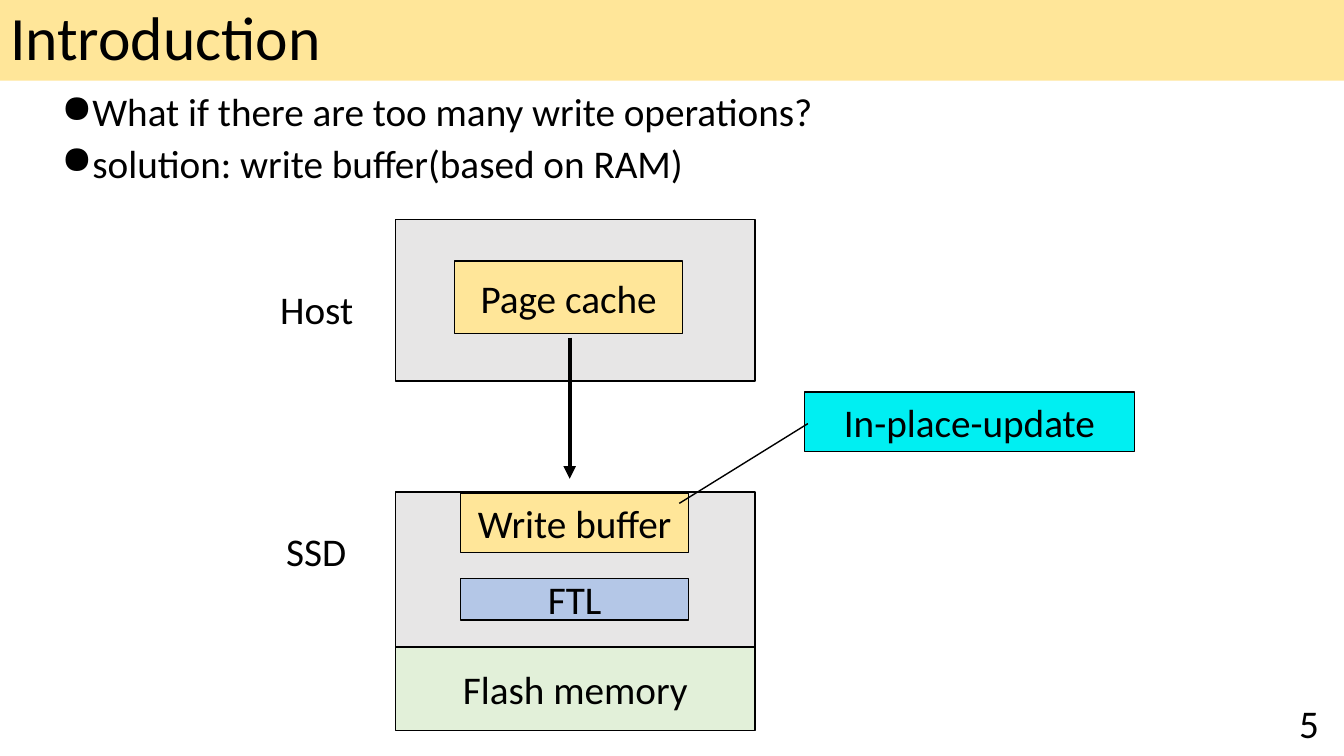
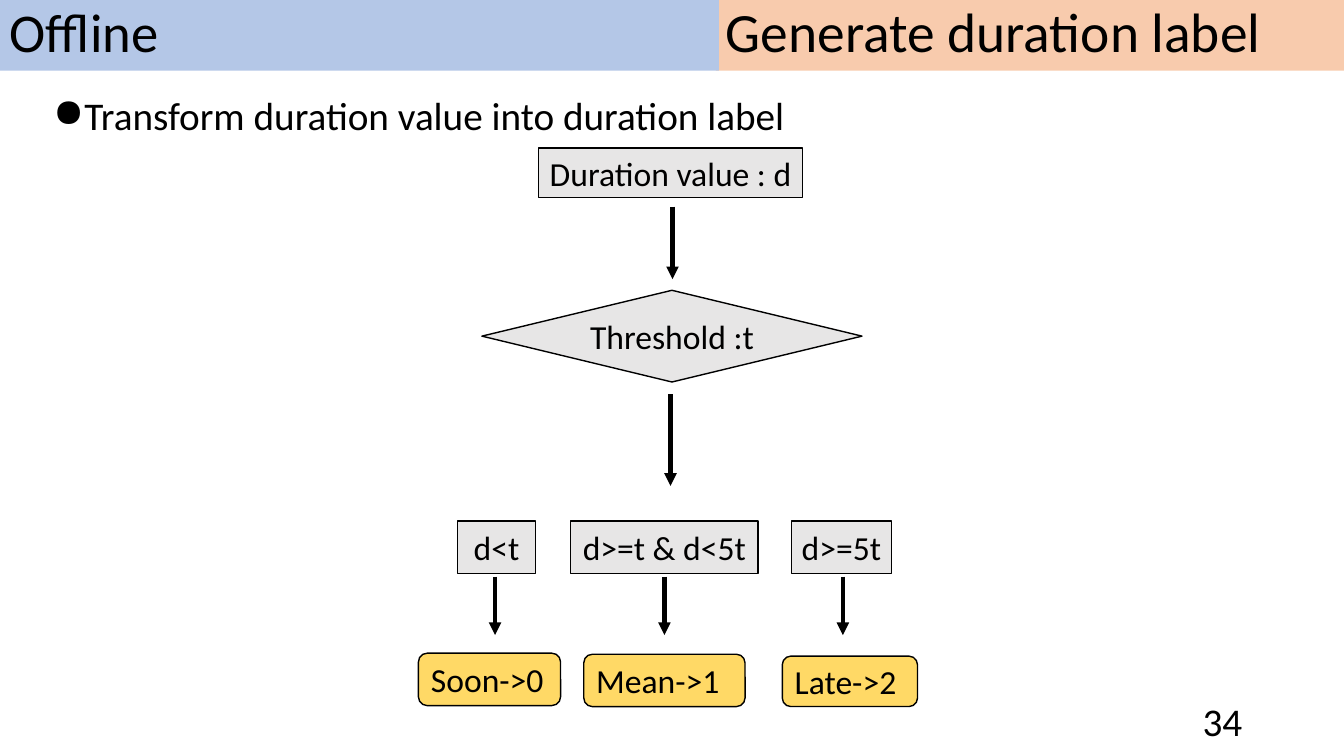
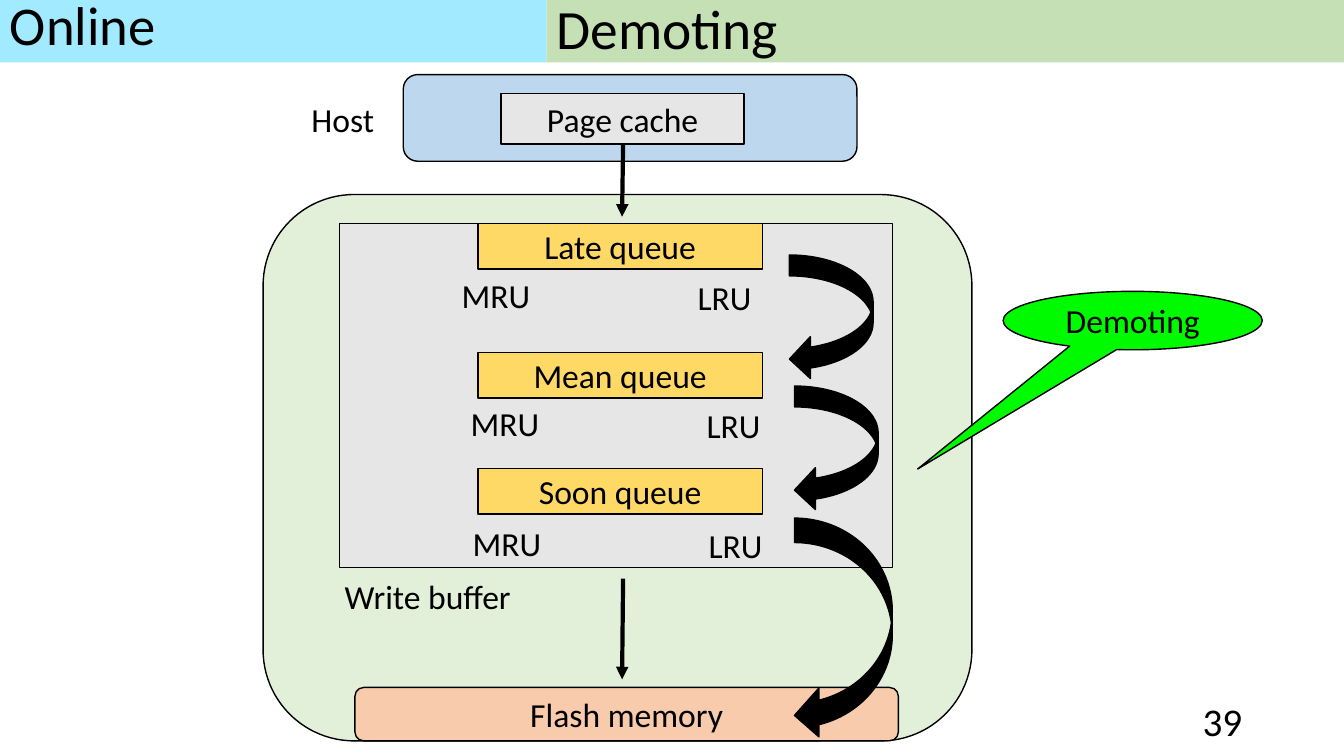
from dataclasses import dataclass
from typing import NamedTuple, Optional

from lxml import etree
from pptx import Presentation
from pptx.dml.color import RGBColor
from pptx.enum.shapes import MSO_CONNECTOR, MSO_SHAPE
from pptx.enum.text import MSO_ANCHOR, MSO_AUTO_SIZE, PP_ALIGN
from pptx.oxml.ns import qn
from pptx.util import Inches, Pt

RECT = MSO_SHAPE.RECTANGLE
ROUNDED = MSO_SHAPE.ROUNDED_RECTANGLE
PROCESS = MSO_SHAPE.FLOWCHART_ALTERNATE_PROCESS
DECISION = MSO_SHAPE.FLOWCHART_DECISION
LINE_CALLOUT = MSO_SHAPE.LINE_CALLOUT_1
OVAL_CALLOUT = MSO_SHAPE.OVAL_CALLOUT
CURVED_ARROW = MSO_SHAPE.CURVED_LEFT_ARROW
STRAIGHT = MSO_CONNECTOR.STRAIGHT
LEFT, CENTER, RIGHT = PP_ALIGN.LEFT, PP_ALIGN.CENTER, PP_ALIGN.RIGHT
TOP, MIDDLE = MSO_ANCHOR.TOP, MSO_ANCHOR.MIDDLE
NO_FIT = MSO_AUTO_SIZE.NONE

FONT = "Calibri"
BLACK = "000000"
GRAY = "E7E6E6"
CREAM = "FFE699"
GOLD = "FFD966"
BLUE = "B4C7E7"
PALE_BLUE = "BDD7EE"
SKY = "A1EAFF"
PEACH = "F8CBAD"
PALE_GREEN = "E2F0D9"
GREEN = "C5E0B4"
CYAN = "00EFF2"
LIME = "00FA00"


class Area(NamedTuple):
    left: float
    top: float
    width: float
    height: float


@dataclass
class Node:
    area: Area
    fill: str
    text: str = ""
    size: float = 24
    kind: int = RECT
    align: int = CENTER
    adjust: tuple = ()
    outlined: bool = True
    spacing: Optional[float] = None


@dataclass
class Label:
    area: Area
    text: str
    size: float = 24
    align: int = LEFT
    anchor: int = TOP


class Arrow(NamedTuple):
    x1: float
    y1: float
    x2: float
    y2: float


def rgb(color: str) -> RGBColor:
    return RGBColor.from_string(color)


def lengths(area: Area) -> list:
    return [Inches(value) for value in area]


def set_attributes(target, values: dict) -> None:
    for name, value in values.items():
        setattr(target, name, value)


def write(para, text: str, size: float, **layout) -> None:
    para.text = text
    set_attributes(para, layout)
    set_attributes(para.font, {"name": FONT, "size": Pt(size), "bold": False})
    para.font.color.rgb = rgb(BLACK)


def paint(shape, fill: str) -> None:
    shape.fill.solid()
    shape.fill.fore_color.rgb = rgb(fill)


def draw_node(page, node: Node) -> None:
    shape = page.shapes.add_shape(node.kind, *lengths(node.area))
    shape.shadow.inherit = False
    for index, value in enumerate(node.adjust):
        shape.adjustments[index] = value
    paint(shape, node.fill)
    if node.outlined:
        shape.line.color.rgb = rgb(BLACK)
        shape.line.width = Pt(1)
    else:
        shape.line.fill.background()
    if node.text:
        frame = shape.text_frame
        set_attributes(frame, {"word_wrap": node.align != CENTER,
                               "vertical_anchor": MIDDLE})
        write(frame.paragraphs[0], node.text, node.size,
              alignment=node.align, line_spacing=node.spacing)


def add_frame(page, area: Area, anchor: int = TOP):
    frame = page.shapes.add_textbox(*lengths(area)).text_frame
    set_attributes(frame, {"word_wrap": True, "auto_size": NO_FIT,
                           "vertical_anchor": anchor})
    return frame


def draw_label(page, label: Label) -> None:
    frame = add_frame(page, label.area, label.anchor)
    write(frame.paragraphs[0], label.text, label.size, alignment=label.align)


def draw_arrow(page, arrow: Arrow) -> None:
    line = page.shapes.add_connector(STRAIGHT, *[Inches(v) for v in arrow])
    line.line.color.rgb = rgb(BLACK)
    line.line.width = Pt(3)
    etree.SubElement(line.line._get_or_add_ln(), qn("a:tailEnd"), type="triangle")
    etree.SubElement(line._element.spPr, qn("a:effectLst"))


DRAWERS = {Node: draw_node, Label: draw_label, Arrow: draw_arrow}


def draw(page, *items) -> None:
    for item in items:
        DRAWERS[type(item)](page, item)


def draw_bullets(page, area: Area, spacing: float, *lines: str) -> None:
    frame = add_frame(page, area)
    for index, text in enumerate(lines):
        para = frame.add_paragraph() if index else frame.paragraphs[0]
        properties = para._p.get_or_add_pPr()
        properties.set("marL", str(Inches(0.25)))
        properties.set("indent", str(-Inches(0.25)))
        etree.SubElement(properties, qn("a:buChar"), char="●")
        write(para, text, 28, line_spacing=spacing,
              space_before=Pt(10 if index else 0))


def start_page(deck, title: str, area: Area, fill: str, size: float,
               number: str, number_area: Area = Area(9.42, 6.95, 3, 0.4)):
    """Add a page with its title band and page number."""
    page = deck.slides.add_slide(deck.slide_layouts[5])
    band = page.shapes.title
    set_attributes(band, dict(zip(area._fields, lengths(area))))
    paint(band, fill)
    set_attributes(band.text_frame, {"word_wrap": True, "auto_size": NO_FIT,
                                     "vertical_anchor": MIDDLE})
    write(band.text_frame.paragraphs[0], title, size,
          alignment=LEFT, line_spacing=0.9)
    draw(page, Label(number_area, number, 28, RIGHT, MIDDLE))
    return page


def section_band(text: str, area: Area, fill: str, spacing: float) -> Node:
    return Node(area, fill, text, 39, align=LEFT, outlined=False, spacing=spacing)


def build_introduction(deck) -> None:
    page = start_page(deck, "Introduction", Area(0, 0, 13.33, 0.8), CREAM, 44,
                      "5", Area(10.18, 6.97, 3, 0.4))
    draw_bullets(page, Area(0.51, 0.91, 12.82, 1.03), 0.8,
                 "What if there are too many write operations?",
                 "solution: write buffer(based on RAM)")
    left, width = 3.92, 3.57
    part_left, part_width = 4.57, 2.26
    draw(page,
         Node(Area(left, 2.18, width, 1.6), GRAY),
         Label(Area(2.68, 2.78, 1.05, 0.57), "Host", 28),
         Node(Area(4.51, 2.59, part_width, 0.72), CREAM, "Page cache", 28),
         Arrow(5.65, 3.35, 5.65, 4.75),
         Node(Area(left, 4.88, width, 2.36), GRAY),
         Label(Area(2.74, 5.18, 1.05, 0.57), "SSD", 28),
         Node(Area(part_left, 4.89, part_width, 0.59), CREAM, "Write buffer", 28),
         Node(Area(part_left, 5.74, part_width, 0.41), BLUE, "FTL", 28),
         Node(Area(left, 6.42, width, 0.83), PALE_GREEN, "Flash memory", 28),
         Node(Area(7.98, 3.89, 3.27, 0.59), CYAN, "In-place-update", 28,
              LINE_CALLOUT, adjust=(0.53, 0.01, 1.87, -0.38)))


def build_duration_label(deck) -> None:
    page = start_page(deck, "Generate duration label",
                      Area(7.1, -0.01, 6.23, 0.71), PEACH, 39.6, "34")
    draw_bullets(page, Area(0.43, 0.91, 12.9, 0.62), 0.9,
                 "Transform duration value into duration label")
    draw(page,
         section_band("Offline", Area(0, -0.01, 7.13, 0.71), BLUE, 0.9),
         Node(Area(5.34, 1.47, 2.62, 0.49), GRAY, "Duration value : d"),
         Arrow(6.67, 2.05, 6.67, 2.77),
         Node(Area(4.78, 2.88, 3.77, 0.91), GRAY, "Threshold :t", kind=DECISION),
         Arrow(6.65, 3.91, 6.65, 4.82))
    branches = [
        ("d<t", 4.54, 0.77, 4.91, "Soon->0", Area(4.15, 6.48, 1.41, 0.52)),
        ("d>=t & d<5t", 5.66, 1.86, 6.59, "Mean->1", Area(5.79, 6.49, 1.6, 0.52)),
        ("d>=5t", 7.85, 0.99, 8.36, "Late->2", Area(7.76, 6.51, 1.34, 0.5)),
    ]
    for test, left, width, arrow_x, outcome, outcome_area in branches:
        draw(page,
             Node(Area(left, 5.17, width, 0.52), GRAY, test),
             Arrow(arrow_x, 5.72, arrow_x, 6.3),
             Node(outcome_area, GOLD, outcome, kind=PROCESS, align=LEFT))


def build_demoting(deck) -> None:
    page = start_page(deck, "Demoting", Area(5.42, 0, 7.92, 0.62), GREEN, 39.6, "39")
    draw(page,
         section_band("Online", Area(0, -0.03, 5.42, 0.65), SKY, 0.8),
         Node(Area(2.61, 1.93, 7.03, 5.42), PALE_GREEN, kind=ROUNDED),
         Node(Area(4, 0.74, 4.5, 0.86), PALE_BLUE, kind=ROUNDED),
         Node(Area(4.97, 0.93, 2.41, 0.5), GRAY, "Page cache"),
         Arrow(6.18, 1.43, 6.17, 2.15),
         Node(Area(3.37, 2.22, 5.48, 3.41), GRAY))
    queues = [("Late queue", 2.22, 4.48, 2.68),
              ("Mean queue", 3.5, 4.57, 3.95),
              ("Soon queue", 4.65, 4.59, 5.14)]
    for name, top, label_left, label_top in queues:
        draw(page,
             Node(Area(4.74, top, 2.82, 0.45), GOLD, name),
             Label(Area(label_left, label_top, 1.1, 0.5), "MRU"),
             Label(Area(label_left + 2.34, label_top + 0.02, 0.83, 0.5), "LRU"))
    draw(page,
         Label(Area(3.32, 5.66, 2.35, 0.5), "Write buffer"),
         Node(Area(3.52, 6.82, 5.39, 0.53), PEACH, "Flash memory", kind=ROUNDED))
    for area in (Area(7.83, 2.53, 0.83, 1.24), Area(7.88, 3.83, 0.83, 1.24),
                 Area(7.88, 5.14, 0.97, 2.2)):
        draw(page, Node(area, BLACK, kind=CURVED_ARROW))
    draw(page,
         Label(Area(2.99, 0.93, 1, 0.5), "Host"),
         Node(Area(9.95, 2.89, 2.57, 0.58), LIME, "Demoting",
              kind=OVAL_CALLOUT, adjust=(-0.83, 2.54)),
         Arrow(6.18, 5.74, 6.17, 6.74))


def main() -> None:
    deck = Presentation()
    deck.slide_width, deck.slide_height = Inches(13.33), Inches(7.5)
    for build in (build_introduction, build_duration_label, build_demoting):
        build(deck)
    deck.save("out.pptx")


if __name__ == "__main__":
    main()
